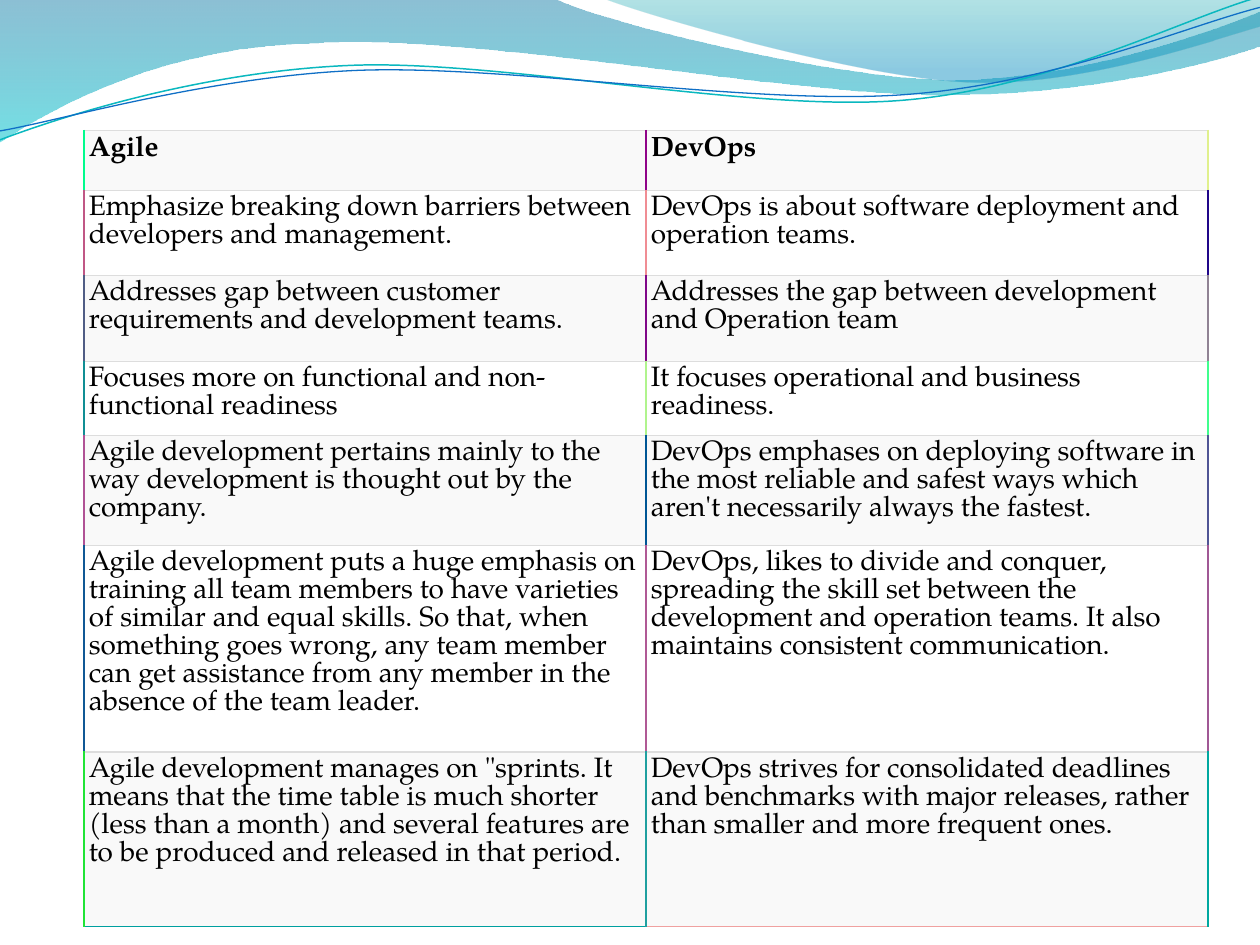
from lxml.etree import SubElement
from pptx import Presentation
from pptx.dml.color import RGBColor as RGB
from pptx.oxml.ns import qn
from pptx.util import Cm, Pt

FONT = "TeX Gyre Pagella"
BLACK = RGB(0x00, 0x00, 0x00)
WHITE = RGB(0xFF, 0xFF, 0xFF)
STRIPE = RGB(0xF9, 0xF9, 0xF9)
GRID = RGB(0xDD, 0xDD, 0xDD)
DEEP_BLUE = RGB(0x00, 0x74, 0xA1)
CYAN = RGB(0x00, 0xC6, 0xCF)
TEAL = RGB(0x00, 0xA1, 0xA9)
SKY = RGB(0x00, 0x8B, 0xBF)
LINE_TEAL = RGB(0x0A, 0xB8, 0xBF)
LINE_BLUE = RGB(0x0F, 0x6F, 0xC6)


def add_curve(shapes, start, segments, close):
    """Draw a path in cm; a segment is a line (x, y) or a Bezier curve (six numbers)."""
    points = [(Cm(seg[i]), Cm(seg[i + 1])) for seg in segments for i in range(0, len(seg), 2)]
    builder = shapes.build_freeform(Cm(start[0]), Cm(start[1]))
    builder.add_line_segments(points, close=close)
    sp = builder.convert_to_shape()
    sp.shadow.inherit = False
    # Join the three line points of each curve into one Bezier element
    steps = iter(list(sp._element.spPr.iter(qn("a:lnTo"))))
    for seg in segments:
        step = next(steps)
        if len(seg) == 6:
            step.addprevious(bezier := step.makeelement(qn("a:cubicBezTo")))
            for line in (step, next(steps), next(steps)):
                bezier.append(line[0])
                line.getparent().remove(line)
    return sp


def add_border(cell, side, color, width):
    ln = SubElement(cell._tc.get_or_add_tcPr(), qn(f"a:ln{side}"), w=str(Pt(width)))
    SubElement(SubElement(ln, qn("a:solidFill")), qn("a:srgbClr"), val=str(color))


prs = Presentation()
prs.slide_width, prs.slide_height = Cm(25.4), Cm(19.05)
s = prs.slides.add_slide(prs.slide_layouts[6])

# Header waves: start, segments, gradient stops (position, colour, opacity %)
waves = [
    ((0, 0),
     [(11.18, -0.03), (12.09, 0.43, 16.87, 1.6, 19.25, 1.6),
      (21.67, 1.6, 24.33, 0.66, 25.4, 0.23), (25.43, 0.91),
      (24.97, 1.12, 22.1, 1.93, 18.95, 1.91), (15.8, 1.91, 9.7, 0.71, 6.53, 0.86),
      (3.28, 0.91, 1.17, 2.11, -0.03, 2.87), (0, 0)],
     [(0, DEEP_BLUE, 45), (1, CYAN, 55)]),
    ((12.17, -0.03),
     [(12.93, 0.28, 17.32, 1.57, 19.53, 1.65),
      (21.74, 1.75, 24.41, 0.81, 25.4, 0.53), (25.4, 0), (12.17, -0.03)],
     [(0, TEAL, 30), (0.8, SKY, 45)]),
]
for start, segments, stops in waves:
    sp = add_curve(s.shapes, start, segments, True)
    sp.line.fill.background()
    sp.fill.gradient()
    sp.fill.gradient_angle = 270
    for stop, (position, color, _) in zip(sp.fill.gradient_stops, stops):
        stop.position = position
        stop.color.rgb = color
    for clr, (_, _, opacity) in zip(sp._element.spPr.iter(qn("a:srgbClr")), stops):
        SubElement(clr, qn("a:alpha"), val=str(opacity * 1000))

strands = [
    ((0, 2.82),
     [(1.22, 2.36, 4.01, 1.45, 7.04, 1.32), (10.03, 1.19, 15.06, 2.26, 18.11, 2.03),
      (21.16, 1.8, 23.83, 0.38, 25.35, -0.05)], LINE_TEAL, 0.85),
    ((0, 2.64),
     [(1.19, 2.44, 4.17, 1.55, 7.19, 1.42), (10.24, 1.3, 15.16, 2.13, 18.21, 1.91),
      (21.23, 1.7, 23.9, 0.53, 25.4, 0.15)], LINE_BLUE, 0.75),
]
for start, segments, color, width in strands:
    sp = add_curve(s.shapes, start, segments, False)
    sp.fill.background()
    sp.line.color.rgb = color
    sp.line.width = Pt(width)

# Comparison table: height in cm, colours of the three vertical borders, two texts
rows = [
    (1.21, "00FC8D 900489 E0F08D", "Agile", "DevOps"),
    (1.72, "C05785 F08D94 200689",
     "Emphasize breaking down barriers between developers and management.",
     "DevOps is about software deployment and operation teams."),
    (1.72, "505D85 800789 908394",
     "Addresses gap between customer requirements and development teams.",
     "Addresses the gap between development and Operation team"),
    (1.5, "108E94 B0F48D 40FE8D",
     "Focuses more on functional and non-functional readiness",
     "It focuses operational and business readiness."),
    (2.22, "B05295 005695 505595",
     "Agile development pertains mainly to the way development is thought out by the company.",
     "DevOps emphases on deploying software in the most reliable and safest ways which "
     "aren't necessarily always the fastest."),
    (4.16, "105895 B05995 A05895",
     "Agile development puts a huge emphasis on training all team members to have varieties "
     "of similar and equal skills. So that, when something goes wrong, any team member can "
     "get assistance from any member in the absence of the team leader.",
     "DevOps, likes to divide and conquer, spreading the skill set between the development "
     "and operation teams. It also maintains consistent communication."),
    (3.52, "20E436 20A0A0 00A8A0",
     "Agile development manages on \"sprints. It means that the time table is much shorter "
     "(less than a month) and several features are to be produced and released in that period.",
     "DevOps strives for consolidated deadlines and benchmarks with major releases, rather "
     "than smaller and more frequent ones."),
]
bottom_edges = [RGB(0x00, 0xA0, 0xA0), RGB(0xF0, 0xA1, 0xA0)]
last = len(rows) - 1

table = s.shapes.add_table(len(rows), 2, Cm(1.69), Cm(2.63), Cm(22.66),
                           Cm(sum(row[0] for row in rows))).table
for column in table.columns:
    column.width = Cm(11.33)
for i, (height, edges, *texts) in enumerate(rows):
    table.rows[i].height = Cm(height)
    edges = [RGB.from_string(edge) for edge in edges.split()]
    for j, text in enumerate(texts):
        cell = table.cell(i, j)
        cell.margin_left = cell.margin_right = cell.margin_top = cell.margin_bottom = Cm(0.1)
        add_border(cell, "L", edges[j], 1)
        add_border(cell, "R", edges[j + 1], 1)
        add_border(cell, "T", GRID, 0.75)
        if i == last:
            add_border(cell, "B", bottom_edges[j], 1)
        else:
            add_border(cell, "B", GRID, 0.75)
        cell.fill.solid()
        cell.fill.fore_color.rgb = WHITE if i % 2 else STRIPE
        p = cell.text_frame.paragraphs[0]
        p.line_spacing = Pt(16)
        r = p.add_run()
        r.text = text
        r.font.name = FONT
        r.font.size = Pt(16)
        r.font.bold = i == 0
        r.font.color.rgb = BLACK

prs.save("out.pptx")
